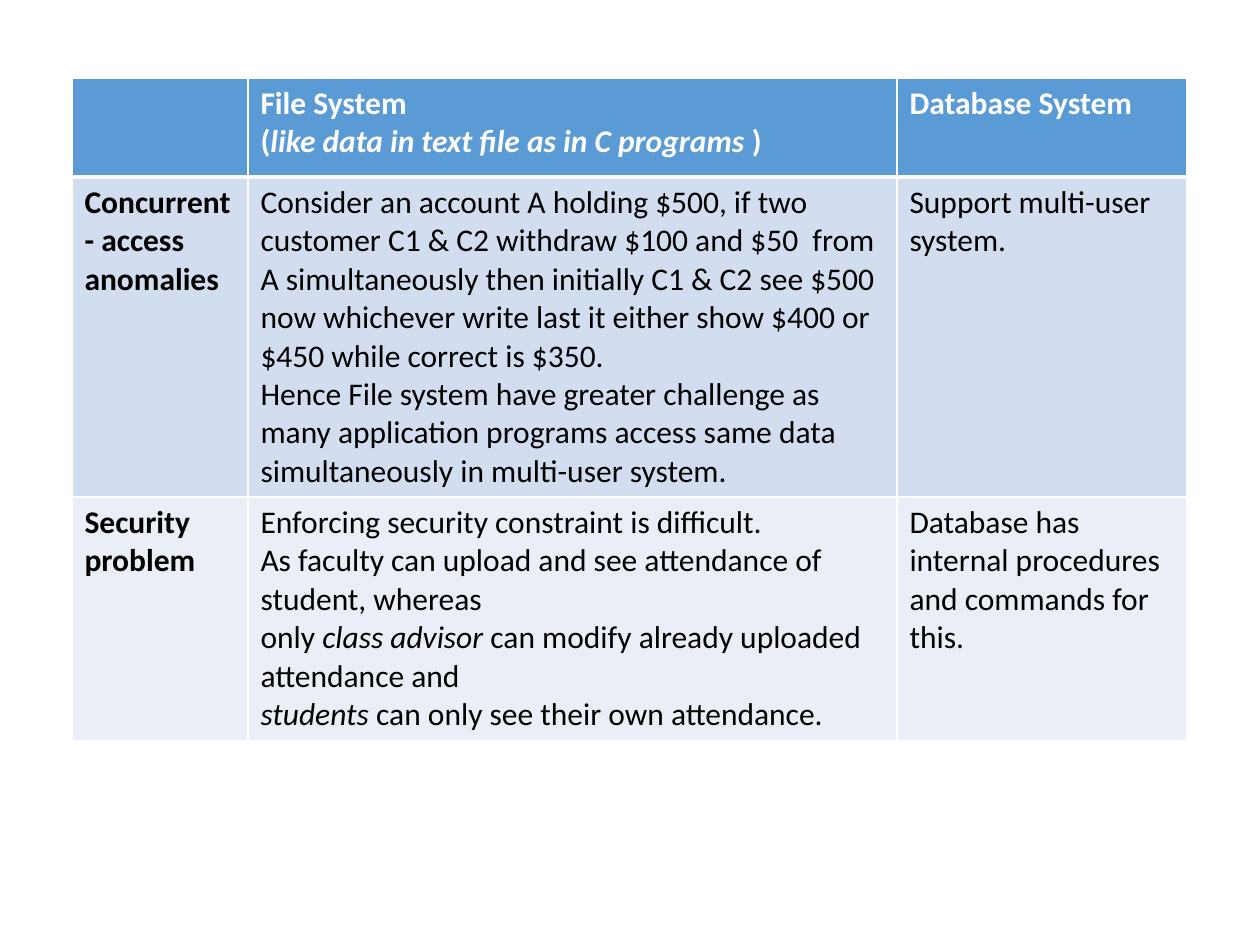
import dataclasses

import lxml.etree
import pptx
import pptx.dml.color
import pptx.oxml.ns
import pptx.util

EMU_PER_PX = 914400 / 126


@dataclasses.dataclass(frozen=True)
class Theme:
    font: str = "Calibri"
    size: int = 18
    light: str = "FFFFFF"
    dark: str = "000000"
    header: str = "5B9BD5"
    bands: tuple = ("D2DEEF", "EAEFF7")
    rule: int = 1
    header_rule: int = 3


THEME = Theme()

# Each cell is a list of paragraphs; text between asterisks is italic.
COMPARISON = [
    [
        [],
        ["File System", "(*like data in text file as in C programs *)"],
        ["Database System"],
    ],
    [
        ["Concurrent- access anomalies"],
        [
            "Consider an account A holding $500, if two customer C1 & C2 "
            "withdraw $100 and $50  from A simultaneously then initially "
            "C1 & C2 see $500 now whichever write last it either show $400 "
            "or $450 while correct is $350.",
            "Hence File system have greater challenge as many application "
            "programs access same data simultaneously in multi-user system.",
        ],
        ["Support multi-user system."],
    ],
    [
        ["Security problem"],
        [
            "Enforcing security constraint is difficult.",
            "As faculty can upload and see attendance of student, whereas",
            "only *class advisor *can modify already uploaded attendance and",
            "*students* can only see their own attendance.",
        ],
        ["Database has internal procedures and commands for this."],
    ],
]


def px(length):
    return pptx.util.Emu(round(length * EMU_PER_PX))


def rgb(value):
    return pptx.dml.color.RGBColor.from_string(value)


def write_cell(cell, paragraphs, color, bold):
    frame = cell.text_frame
    for index, text in enumerate(paragraphs):
        para = frame.add_paragraph() if index else frame.paragraphs[0]
        for part, words in enumerate(text.split("*")):
            if not words:
                continue
            span = para.add_run()
            span.text = words
            span.font.name = THEME.font
            span.font.size = pptx.util.Pt(THEME.size)
            span.font.color.rgb = rgb(color)
            span.font.bold = bold
            span.font.italic = part % 2 == 1


def set_borders(cell, top, bottom):
    """Draw the four cell edges; side edges use the thin rule."""
    qn = pptx.oxml.ns.qn
    properties = cell._tc.get_or_add_tcPr()
    edges = {"lnL": THEME.rule, "lnR": THEME.rule, "lnT": top, "lnB": bottom}
    for position, (name, points) in enumerate(edges.items()):
        line = lxml.etree.Element(qn(f"a:{name}"), w=str(pptx.util.Pt(points)))
        fill = lxml.etree.SubElement(line, qn("a:solidFill"))
        lxml.etree.SubElement(fill, qn("a:srgbClr"), val=THEME.light)
        properties.insert(position, line)


def add_comparison_table(page, left, top, widths, heights):
    table = page.shapes.add_table(
        len(heights), len(widths), px(left), px(top), px(sum(widths)), px(sum(heights))
    ).table
    for column, width in zip(table.columns, widths):
        column.width = px(width)
    for row, height in zip(table.rows, heights):
        row.height = px(height)
    for row_index, contents in enumerate(COMPARISON):
        is_header = row_index == 0
        background = THEME.header if is_header else THEME.bands[(row_index - 1) % 2]
        for column_index, paragraphs in enumerate(contents):
            cell = table.cell(row_index, column_index)
            cell.fill.solid()
            cell.fill.fore_color.rgb = rgb(background)
            write_cell(
                cell,
                paragraphs,
                THEME.light if is_header else THEME.dark,
                is_header or column_index == 0,
            )
            set_borders(
                cell,
                THEME.header_rule if row_index == 1 else THEME.rule,
                THEME.header_rule if is_header else THEME.rule,
            )


def main():
    deck = pptx.Presentation()
    deck.slide_width, deck.slide_height = px(1260), px(945)
    page = deck.slides.add_slide(deck.slide_layouts[6])
    add_comparison_table(page, 72, 78, widths=(176, 649, 290), heights=(99, 320, 243))
    deck.save("out.pptx")


if __name__ == "__main__":
    main()
